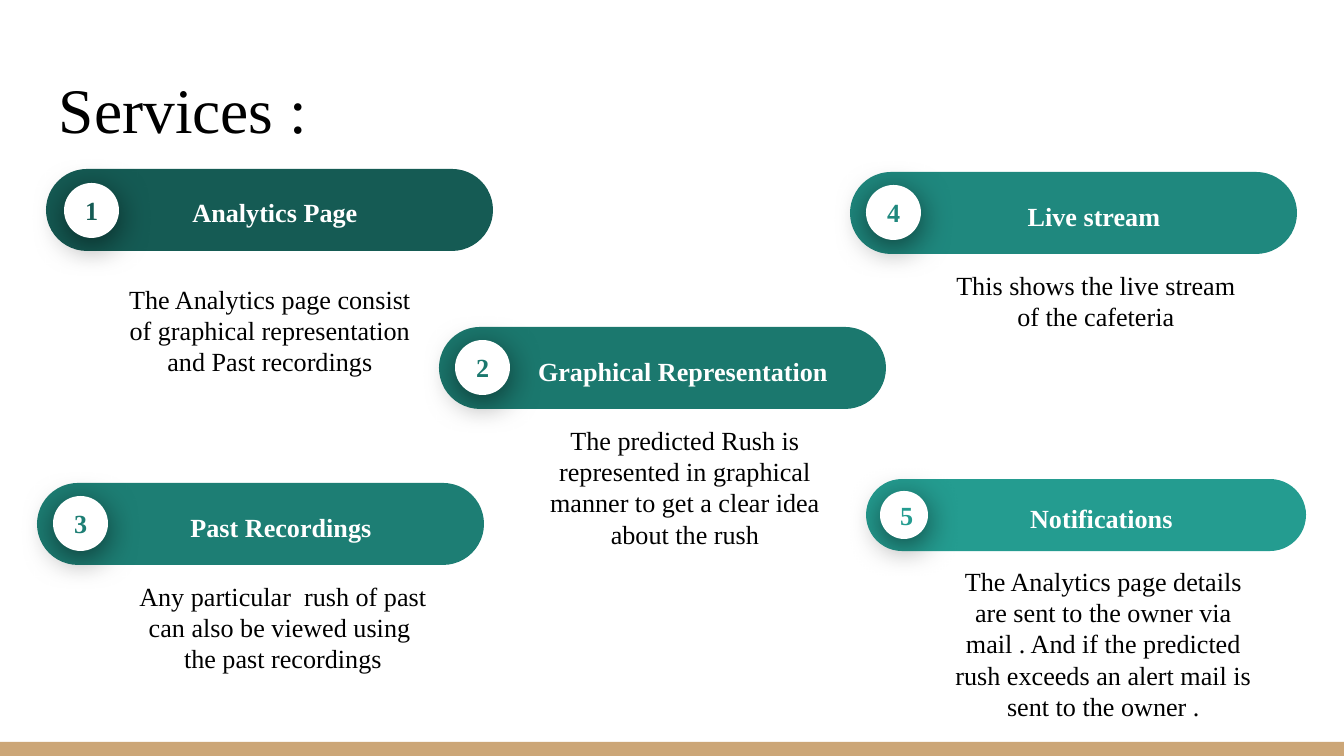
from pptx import Presentation
from pptx.dml.color import RGBColor
from pptx.enum.shapes import MSO_SHAPE as Shape
from pptx.enum.text import MSO_ANCHOR as Anchor, MSO_AUTO_SIZE as Fit, PP_ALIGN as Align
from pptx.oxml import parse_xml
from pptx.oxml.ns import nsdecls
from pptx.util import Pt

PX = 914400 / 134.4  # EMU in one px
FONT = "Times New Roman"
INSET = 13

BLACK = RGBColor(0x00, 0x00, 0x00)
WHITE = RGBColor(0xFF, 0xFF, 0xFF)
TAN = RGBColor(0xCC, 0xA6, 0x77)
PINE = RGBColor(0x15, 0x5B, 0x54)
FOREST = RGBColor(0x1B, 0x78, 0x6E)
JADE = RGBColor(0x1D, 0x7E, 0x74)
SEA = RGBColor(0x1F, 0x88, 0x7E)
TEAL = RGBColor(0x24, 0x9C, 0x90)

# Offsets from the pill's corner: dot (x, y, size), label and note (x, y, w, h)
LARGE = dict(pill=(447, 82), dot=(16, 13, 55), label=(72, 13, 344, 58), note=(84, 84, 324, 74))
SMALL = dict(pill=(440, 72), dot=(14, 12, 48), label=(61, 12, 349, 50), note=(73, 73, 329, 65))
FIRST = LARGE | dict(dot=(18, 14, 55), label=(57, 12, 344, 58), note=(62, 101, 324, 74))

# Corner of the pill, colour, layout, heading, description
CARDS = [
    (46, 169, PINE, FIRST, "Analytics Page",
     "The Analytics page consist of graphical representation and Past recordings"),
    (439, 327, FOREST, LARGE, "Graphical Representation",
     "The predicted Rush is represented in graphical manner to get a clear idea about the rush"),
    (37, 483, JADE, LARGE, "Past Recordings",
     "Any particular  rush of past can also be viewed using  the past recordings"),
    (850, 172, SEA, LARGE, "Live stream",
     "This shows the live stream of the cafeteria"),
    (866, 479, TEAL, SMALL, "Notifications",
     "The Analytics page details are sent to the owner via mail . "
     "And if the predicted rush exceeds an alert mail is sent to the owner ."),
]


def emu(*sizes):
    return [round(size * PX) for size in sizes]


class Deck:
    def __init__(self, wide, high):
        self.prs = Presentation()
        self.prs.slide_width, self.prs.slide_height = emu(wide, high)
        self.slide = self.prs.slides.add_slide(self.prs.slide_layouts[5])

    def text(self, shape, words, color, size=14, bold=False, align=Align.CENTER,
             anchor=Anchor.MIDDLE):
        frame = shape.text_frame
        frame.word_wrap = True
        frame.auto_size = Fit.NONE
        frame.vertical_anchor = anchor
        frame.margin_left, frame.margin_top, frame.margin_right, frame.margin_bottom = emu(*[INSET] * 4)
        frame.text = words
        para = frame.paragraphs[0]
        para.alignment = align
        font = para.font
        font.name, font.size, font.bold = FONT, Pt(size), bold
        font.color.rgb = color
        return para

    def title(self, words, *box):
        shape = self.slide.shapes.title
        shape.left, shape.top, shape.width, shape.height = emu(*box)
        self.text(shape, words, BLACK, size=34, align=Align.LEFT)

    def fill(self, home, kind, color, *box):
        shape = home.add_shape(kind, *emu(*box))
        shape.shadow.inherit = False
        shape.fill.solid()
        shape.fill.fore_color.rgb = color
        shape.line.fill.background()
        return shape

    def bar(self, *box):
        self.fill(self.slide.shapes, Shape.RECTANGLE, TAN, *box)

    def pill(self, home, color, x, y, wide, high):
        # An upright shape turned on its side about its centre
        shift = (wide - high) / 2
        shape = self.fill(home, Shape.ROUNDED_RECTANGLE, color, x + shift, y - shift, high, wide)
        shape.adjustments[0] = 0.5
        shape.rotation = 90

    def dot(self, home, words, color, x, y, size):
        shape = self.fill(home, Shape.OVAL, WHITE, x, y, size, size)
        self.text(shape, words, color, bold=True)
        # Soft shadow that falls straight down
        glow = parse_xml(
            f'<a:outerShdw {nsdecls("a")} blurRad="{Pt(18)}" dist="{Pt(4)}" dir="5400000" '
            'algn="ctr" rotWithShape="0"><a:srgbClr val="000000">'
            '<a:alpha val="55000"/></a:srgbClr></a:outerShdw>')
        shape._element.spPr.find("{*}effectLst").append(glow)

    def label(self, home, words, *box):
        para = self.text(home.add_textbox(*emu(*box)), words, WHITE, bold=True)
        para.line_spacing = 1.15

    def note(self, home, words, *box):
        para = self.text(home.add_textbox(*emu(*box)), words, BLACK, anchor=Anchor.TOP)
        para.space_after = Pt(16)

    def card(self, num, x, y, color, plan, head, words):
        home = self.slide.shapes.add_group_shape().shapes

        def place(part):
            left, top, *size = plan[part]
            return x + left, y + top, *size

        self.pill(home, color, x, y, *plan["pill"])
        self.dot(home, str(num), color, *place("dot"))
        self.label(home, head, *place("label"))
        self.note(home, words, *place("note"))


def main():
    deck = Deck(1344, 756)
    # Base strip and heading
    deck.bar(0, 742, 1344, 14)
    deck.title("Services :", 46, 47, 1253, 122)
    # Service cards
    for num, card in enumerate(CARDS, 1):
        deck.card(num, *card)
    deck.prs.save("out.pptx")


if __name__ == "__main__":
    main()
